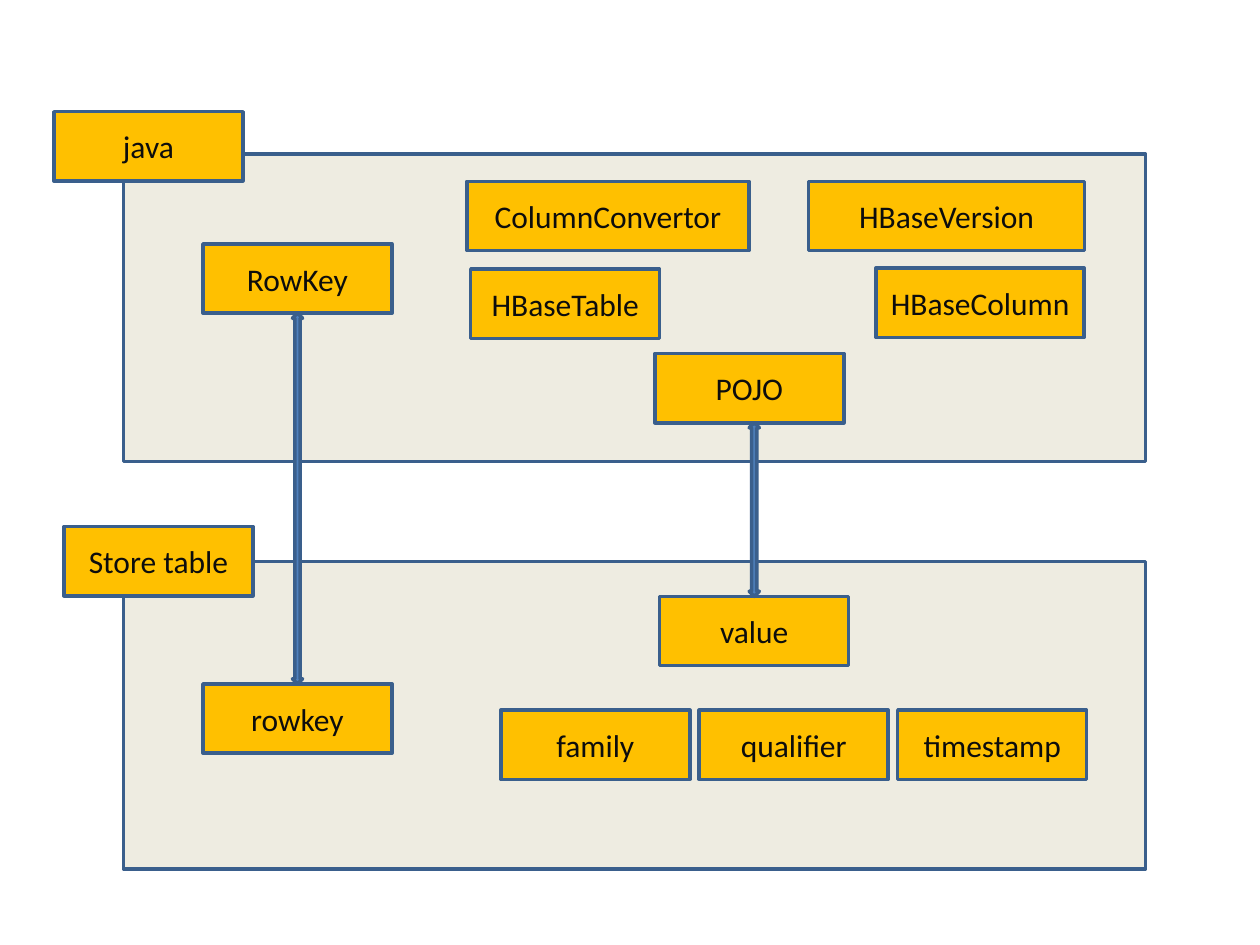
from dataclasses import dataclass

import pptx
import pptx.dml.color
import pptx.enum.shapes
import pptx.enum.text
import pptx.util

Pt = pptx.util.Pt
SHAPES = pptx.enum.shapes.MSO_SHAPE

COLORS = {
    "panel": "EEECE1",
    "box": "FFC000",
    "arrow": "4F81BD",
    "outline": "3A5F8C",
    "text": "0D0D0D",
}
BOX_WIDTH = 108
BOX_HEIGHT = 39.6
PANEL_LEFT, PANEL_WIDTH, PANEL_HEIGHT = 70.6, 584, 175.7
ARROW_WIDTH = 5.8
KEY_LEFT, KEY_TOP, STORED_KEY_TOP = 116, 139.4, 390.8
POJO_TOP, VALUE_TOP = 202, 340.8
CELL_LEFT, CELL_STEP, CELL_TOP = 286.2, 113.4, 405.8


@dataclass
class Box:
    label: str
    left: float
    top: float
    width: float = BOX_WIDTH


@dataclass
class Link:
    center: float
    upper_box_top: float
    lower_box_top: float


PANEL_TOPS = [88, 321]
BOXES = [
    Box("java", 30.8, 63.8),
    Box("Store table", 36.6, 300.9),
    Box("RowKey", KEY_LEFT, KEY_TOP),
    Box("rowkey", KEY_LEFT, STORED_KEY_TOP),
    Box("ColumnConvertor", 266.8, 103.6, 161.2),
    Box("HBaseVersion", 462, 103.6, 157.8),
    Box("HBaseTable", 269, 153.8),
    Box("HBaseColumn", 500.6, 153.2, 119),
    Box("POJO", 374.2, POJO_TOP),
    Box("value", 377, VALUE_TOP),
] + [
    Box(label, CELL_LEFT + index * CELL_STEP, CELL_TOP)
    for index, label in enumerate(["family", "qualifier", "timestamp"])
]
LINKS = [
    Link(KEY_LEFT + BOX_WIDTH / 2, KEY_TOP, STORED_KEY_TOP),
    Link(431, POJO_TOP, VALUE_TOP),
]


def rgb(role: str) -> pptx.dml.color.RGBColor:
    return pptx.dml.color.RGBColor.from_string(COLORS[role])


def draw_shape(slide, kind, role: str, left: float, top: float, width: float, height: float):
    shape = slide.shapes.add_shape(kind, Pt(left), Pt(top), Pt(width), Pt(height))
    shape.shadow.inherit = False
    shape.fill.solid()
    shape.fill.fore_color.rgb = rgb(role)
    shape.line.color.rgb = rgb("outline")
    shape.line.width = Pt(2)
    return shape


def draw_box(slide, box: Box) -> None:
    shape = draw_shape(slide, SHAPES.RECTANGLE, "box", box.left, box.top, box.width, BOX_HEIGHT)
    frame = shape.text_frame
    frame.text = box.label
    frame.vertical_anchor = pptx.enum.text.MSO_ANCHOR.MIDDLE
    paragraph = frame.paragraphs[0]
    paragraph.alignment = pptx.enum.text.PP_ALIGN.CENTER
    font = paragraph.runs[0].font
    font.name = "Calibri"
    font.size = Pt(18)
    font.color.rgb = rgb("text")


def draw_link(slide, link: Link) -> None:
    top = link.upper_box_top + BOX_HEIGHT
    draw_shape(slide, SHAPES.UP_DOWN_ARROW, "arrow", link.center - ARROW_WIDTH / 2, top,
               ARROW_WIDTH, link.lower_box_top - top)


def main() -> None:
    presentation = pptx.Presentation()
    presentation.slide_width = Pt(720)
    presentation.slide_height = Pt(540)
    slide = presentation.slides.add_slide(presentation.slide_layouts[6])
    for panel_top in PANEL_TOPS:
        draw_shape(slide, SHAPES.RECTANGLE, "panel", PANEL_LEFT, panel_top, PANEL_WIDTH, PANEL_HEIGHT)
    for box in BOXES:
        draw_box(slide, box)
    for link in LINKS:
        draw_link(slide, link)
    presentation.save("out.pptx")


main()
